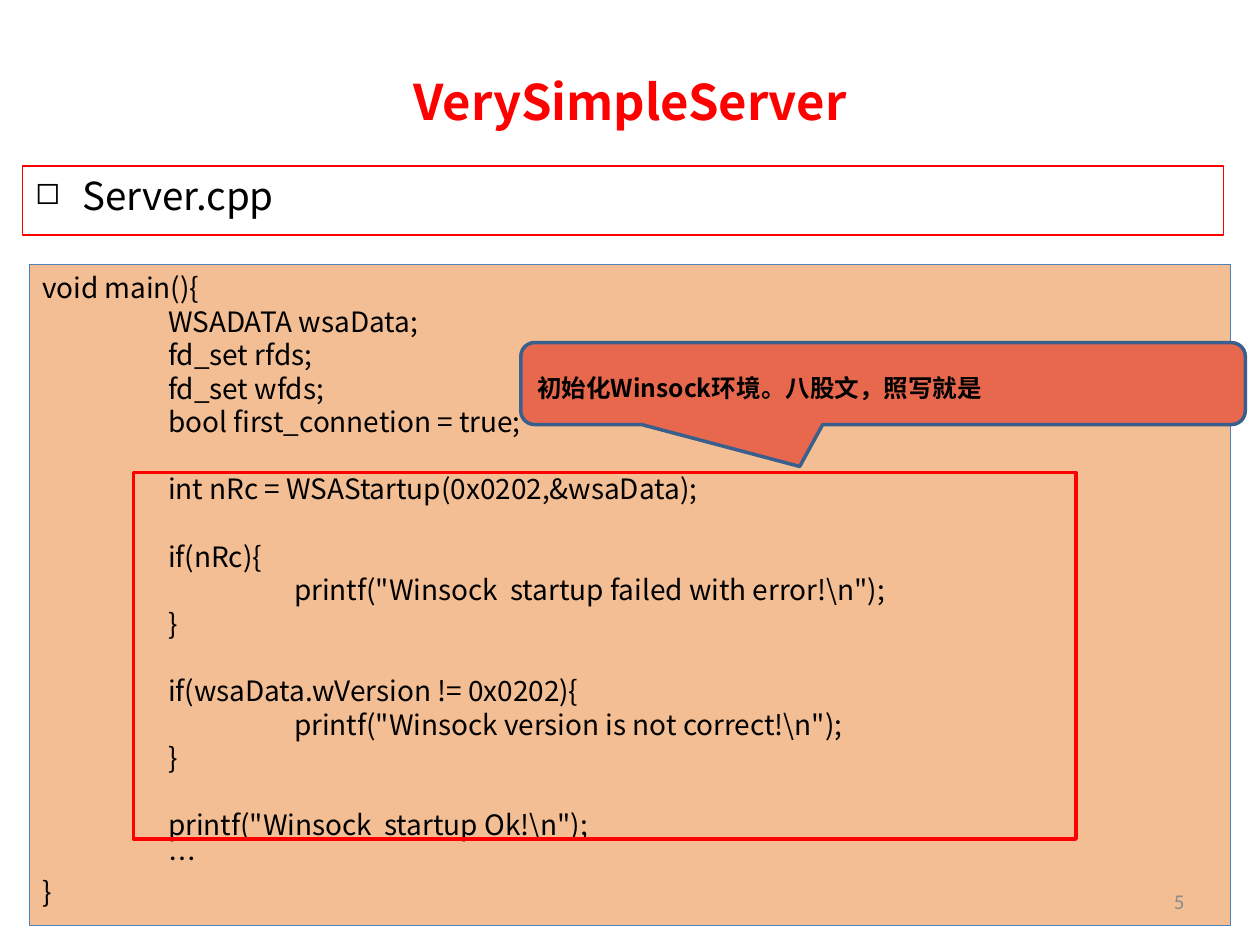
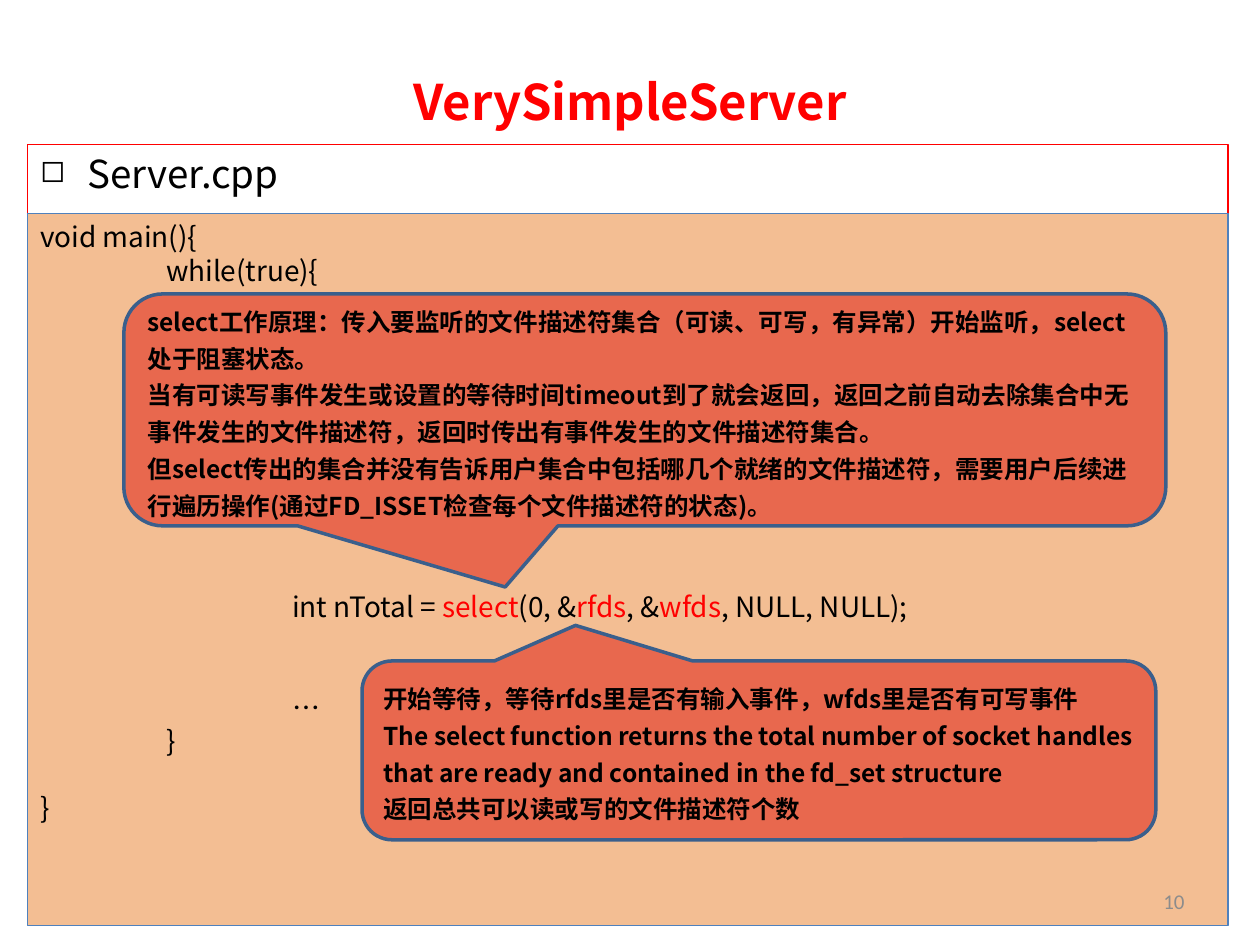
from pptx import Presentation
from pptx.dml.color import RGBColor
from pptx.enum.shapes import MSO_SHAPE
from pptx.enum.text import MSO_ANCHOR, PP_ALIGN
from pptx.oxml.ns import qn
from pptx.util import Pt
from lxml import etree

RECTANGLE = MSO_SHAPE.RECTANGLE
CALLOUT = MSO_SHAPE.ROUNDED_RECTANGULAR_CALLOUT
TOP, MIDDLE = MSO_ANCHOR.TOP, MSO_ANCHOR.MIDDLE
LEFT, CENTER, RIGHT = PP_ALIGN.LEFT, PP_ALIGN.CENTER, PP_ALIGN.RIGHT

COLORS = {
    "red": "FF0000",
    "black": "000000",
    "grey": "8C8C8C",
    "code_fill": "E46C0A",
    "code_line": "4F81BD",
    "callout_fill": "E8684E",
    "callout_line": "3A5F8C",
}
CODE_OPACITY = "44000"
CODE_PITCH = 19.2
CODE_TABS = (72, 144)
BULLET_INDENT = Pt(27)
BULLET_SCALE = "80000"
BOLD_FONT, PLAIN_FONT = "Noto Sans CJK SC", "Noto Sans CJK JP"

# Text styles: color, anchor, paragraph values, font values
STYLES = {
    "title": ("red", MIDDLE, {"alignment": CENTER, "line_spacing": Pt(33.2)},
              {"name": BOLD_FONT, "size": Pt(28), "bold": True}),
    "heading": ("black", TOP, {"alignment": LEFT, "line_spacing": Pt(26.4)},
                {"name": PLAIN_FONT, "size": Pt(22)}),
    "code": ("black", TOP, {"alignment": LEFT, "line_spacing": Pt(CODE_PITCH)},
             {"name": PLAIN_FONT, "size": Pt(16)}),
    "callout": ("black", MIDDLE, {"alignment": LEFT, "line_spacing": Pt(21)},
                {"name": BOLD_FONT, "size": Pt(14), "bold": True}),
    "number": ("grey", MIDDLE, {"alignment": RIGHT},
               {"name": "Calibri", "size": Pt(12)}),
}

# Slide content: an empty code line is a gap, text between bars is highlighted
SLIDES = [
    {
        "number": "5",
        "heading_area": (13, 94.8, 686, 39.6),
        "code_area": (17, 151, 686, 378),
        "code": [
            "void main(){",
            "\tWSADATA wsaData;",
            "\tfd_set rfds;",
            "\tfd_set wfds;",
            "\tbool first_connetion = true;",
            "",
            "\tint nRc = WSAStartup(0x0202,&wsaData);",
            "",
            "\tif(nRc){",
            "\t\tprintf(\"Winsock  startup failed with error!\\n\");",
            "\t}",
            "",
            "\tif(wsaData.wVersion != 0x0202){",
            "\t\tprintf(\"Winsock version is not correct!\\n\");",
            "\t}",
            "",
            "\tprintf(\"Winsock  startup Ok!\\n\");",
            "\t…",
            "}",
        ],
        "frames": [(76.3, 270, 538.6, 209.5)],
        "callouts": [
            ((297.6, 195.8, 414, 46.8), (-0.115, 1.012, 0.167),
             ["初始化Winsock环境。八股文，照写就是"]),
        ],
    },
    {
        "number": "10",
        "heading_area": (15.8, 82.4, 686, 39.6),
        "code_area": (15.8, 122, 686, 407),
        "code": [
            "void main(){",
            "\twhile(true){",
            *[""] * 9,
            "\t\tint nTotal = |select|(0, &|rfds|, &|wfds|, NULL, NULL);",
            *[""] * 2,
            "\t\t…",
            "\t}",
            "",
            "}",
        ],
        "frames": [],
        "callouts": [
            ((70.8, 168, 595.4, 132.5), (-0.134, 0.764, 0.167), [
                "select工作原理：传入要监听的文件描述符集合（可读、可写，有异常）"
                "开始监听，select处于阻塞状态。",
                "当有可读写事件发生或设置的等待时间timeout到了就会返回，"
                "返回之前自动去除集合中无事件发生的文件描述符，"
                "返回时传出有事件发生的文件描述符集合。",
                "但select传出的集合并没有告诉用户集合中包括哪几个就绪的文件描述符，"
                "需要用户后续进行遍历操作(通过FD_ISSET检查每个文件描述符的状态)。",
            ]),
            ((206.9, 377.7, 453.6, 102.2), (-0.231, -0.699, 0.167), [
                "开始等待，等待rfds里是否有输入事件，wfds里是否有可写事件",
                "The select function returns the total number of socket handles "
                "that are ready and contained in the fd_set structure",
                "返回总共可以读或写的文件描述符个数",
            ]),
        ],
    },
]


def add_box(slide, kind, area, line, width, fill=None):
    shape = slide.shapes.add_shape(kind, *map(Pt, area))
    shape.shadow.inherit = False
    shape.line.color.rgb = RGBColor.from_string(COLORS[line])
    shape.line.width = Pt(width)
    if fill:
        shape.fill.solid()
        shape.fill.fore_color.rgb = RGBColor.from_string(COLORS[fill])
    else:
        shape.fill.background()
    return shape


def add_text(shape, lines, style):
    color, anchor, paragraph_format, font_format = STYLES[style]
    frame = shape.text_frame
    frame.word_wrap = True
    frame.vertical_anchor = anchor
    paragraph, gap = None, 0
    for line in lines:
        if not line:
            gap += CODE_PITCH
            continue
        paragraph = frame.add_paragraph() if paragraph else frame.paragraphs[0]
        for name, value in paragraph_format.items():
            setattr(paragraph, name, value)
        if gap:
            paragraph.space_before = Pt(gap)
            gap = 0
        if line.startswith("\t"):
            tabs = etree.SubElement(paragraph._p.get_or_add_pPr(), qn("a:tabLst"))
            for position in CODE_TABS:
                etree.SubElement(tabs, qn("a:tab"), pos=str(Pt(position)), algn="l")
        for index, piece in enumerate(line.split("|")):
            run = paragraph.add_run()
            run.text = piece
            for name, value in font_format.items():
                setattr(run.font, name, value)
            run_color = "red" if index % 2 else color
            run.font.color.rgb = RGBColor.from_string(COLORS[run_color])
            # East Asian characters need their own typeface entry
            etree.SubElement(run.font._element, qn("a:ea"), typeface=font_format["name"])


presentation = Presentation()
presentation.slide_width, presentation.slide_height = Pt(720), Pt(540)

for content in SLIDES:
    slide = presentation.slides.add_slide(presentation.slide_layouts[6])

    # Title
    title = slide.shapes.add_textbox(Pt(36), Pt(21.6), Pt(648), Pt(72.7))
    add_text(title, ["VerySimpleServer"], "title")

    # File name heading with a square bullet
    heading = add_box(slide, RECTANGLE, content["heading_area"], "red", 0.75)
    add_text(heading, ["Server.cpp"], "heading")
    properties = heading.text_frame.paragraphs[0]._p.get_or_add_pPr()
    properties.set("marL", str(BULLET_INDENT))
    properties.set("indent", str(-BULLET_INDENT))
    etree.SubElement(properties, qn("a:buSzPct"), val=BULLET_SCALE)
    etree.SubElement(properties, qn("a:buChar"), char="◻")

    # Code panel with a translucent fill
    panel = add_box(slide, RECTANGLE, content["code_area"], "code_line", 0.75, "code_fill")
    fill_color = panel._element.spPr.find(qn("a:solidFill"))[0]
    etree.SubElement(fill_color, qn("a:alpha"), val=CODE_OPACITY)
    add_text(panel, content["code"], "code")

    # Page number
    number = slide.shapes.add_textbox(Pt(516), Pt(500.5), Pt(168), Pt(28.8))
    add_text(number, [content["number"]], "number")

    # Frames around code, then callouts
    for area in content["frames"]:
        add_box(slide, RECTANGLE, area, "red", 2)
    for area, adjustments, lines in content["callouts"]:
        callout = add_box(slide, CALLOUT, area, "callout_line", 2, "callout_fill")
        for index, value in enumerate(adjustments):
            callout.adjustments[index] = value
        add_text(callout, lines, "callout")

presentation.save("out.pptx")
